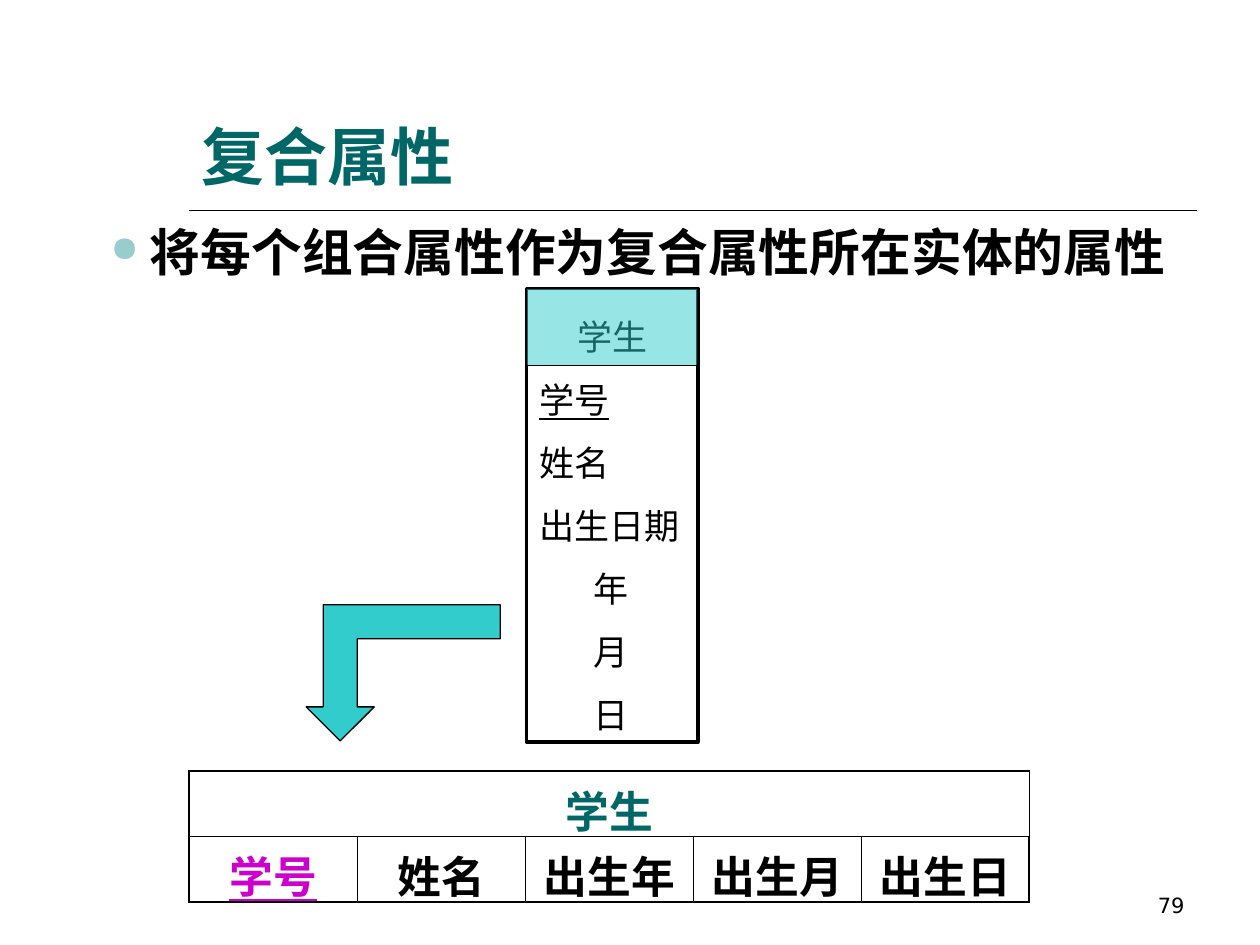
from dataclasses import dataclass
from typing import Optional

from lxml import etree
from pptx import Presentation
from pptx import util as u
from pptx.dml.color import RGBColor
from pptx.enum import shapes, text
from pptx.oxml.ns import qn

BLACK = RGBColor(0x00, 0x00, 0x00)
TEAL = RGBColor(0x00, 0x66, 0x66)
AQUA = RGBColor(0x33, 0xCC, 0xCC)
PALE = RGBColor(0x99, 0xCC, 0xCC)
MAGENTA = RGBColor(0xCC, 0x00, 0xCC)

SANS = "DejaVu Sans"
LEFT, CENTER, RIGHT = text.PP_ALIGN.LEFT, text.PP_ALIGN.CENTER, text.PP_ALIGN.RIGHT
TOP, BOTTOM = text.MSO_ANCHOR.TOP, text.MSO_ANCHOR.BOTTOM
RECT = shapes.MSO_SHAPE.RECTANGLE
OUTER_BORDER, INNER_BORDER = 1.08, 0.45


@dataclass
class Style:
    size: float
    font: str = SANS
    color: RGBColor = BLACK
    bold: bool = False
    underline: bool = False
    align: text.PP_ALIGN = LEFT
    spacing: Optional[float] = None


@dataclass
class Attribute:
    name: str
    align: text.PP_ALIGN = LEFT
    underline: bool = False
    indent: float = 0


ENTITY = [
    Attribute("学生", align=CENTER),
    Attribute("学号", underline=True),
    Attribute("姓名"),
    Attribute("出生日期"),
    *(Attribute(part, indent=0.43) for part in "年月日"),
]
COLUMNS = ["学号", "姓名", "出生年", "出生月", "出生日"]


def inches(*values: float) -> list:
    return [u.Inches(v) for v in values]


def write(p, words: str, style: Style) -> None:
    p.alignment = style.align
    if style.spacing:
        p.line_spacing = style.spacing
    r = p.add_run()
    r.text = words
    values = {"size": u.Pt(style.size), "name": style.font,
              "bold": style.bold, "underline": style.underline}
    for name, value in values.items():
        setattr(r.font, name, value)
    r.font.color.rgb = style.color


def add_text(s, box: tuple, words: str, style: Style, anchor=TOP):
    tf = s.shapes.add_textbox(*inches(*box)).text_frame
    tf.word_wrap = True
    tf.vertical_anchor = anchor
    write(tf.paragraphs[0], words, style)
    return tf.paragraphs[0]


def set_indent(p, left: float, first: float = 0) -> None:
    pPr = p._p.get_or_add_pPr()
    pPr.set("marL", str(u.Inches(left)))
    pPr.set("indent", str(u.Inches(first)))


def add_bullet(p, char: str, color: RGBColor, percent: int) -> None:
    pPr = p._p.get_or_add_pPr()
    clr = etree.SubElement(pPr, qn("a:buClr"))
    etree.SubElement(clr, qn("a:srgbClr"), val=str(color))
    etree.SubElement(pPr, qn("a:buSzPct"), val=str(percent * 1000))
    etree.SubElement(pPr, qn("a:buChar"), char=char)


def add_outlined(s, kind, box: tuple, width: float, fill: Optional[RGBColor] = None):
    sp = s.shapes.add_shape(kind, *inches(*box))
    sp.shadow.inherit = False
    sp.line.color.rgb = BLACK
    sp.line.width = u.Pt(width)
    if fill is None:
        sp.fill.background()
    else:
        sp.fill.solid()
        sp.fill.fore_color.rgb = fill
    return sp


def add_rule(s, x1: float, y: float, x2: float) -> None:
    line = s.shapes.add_connector(shapes.MSO_CONNECTOR.STRAIGHT, *inches(x1, y, x2, y))
    line.line.color.rgb = BLACK
    line.line.width = u.Pt(1)
    etree.SubElement(line._element.spPr, qn("a:effectLst"))


def set_borders(cell, outer: dict) -> None:
    """Draw each side of the cell, thicker where it is on the table's edge."""
    tcPr = cell._tc.get_or_add_tcPr()
    for i, (side, is_outer) in enumerate(outer.items()):
        width = u.Pt(OUTER_BORDER if is_outer else INNER_BORDER)
        ln = etree.Element(qn(f"a:ln{side}"), w=str(width))
        fill = etree.SubElement(ln, qn("a:solidFill"))
        etree.SubElement(fill, qn("a:srgbClr"), val=str(BLACK))
        tcPr.insert(i, ln)


def add_relation_table(s) -> None:
    last = len(COLUMNS) - 1
    frame = s.shapes.add_table(2, len(COLUMNS), *inches(1.5, 6.12, 6.67, 1.04))
    table = frame.table
    table.first_row = table.horz_banding = False
    for row in range(2):
        for col in range(len(COLUMNS)):
            cell = table.cell(row, col)
            cell.fill.background()
            set_borders(cell, {"L": col == 0, "R": col == last,
                               "T": row == 0, "B": row == 1})
    table.cell(0, 0).merge(table.cell(0, last))
    write(table.cell(0, 0).text_frame.paragraphs[0], "学生",
          Style(25, color=TEAL, bold=True, align=CENTER))
    for col, name in enumerate(COLUMNS):
        is_key = col == 0
        write(table.cell(1, col).text_frame.paragraphs[0], name,
              Style(25, color=MAGENTA if is_key else BLACK, bold=True,
                    underline=is_key, align=CENTER))


def add_entity(s) -> None:
    left, top, width = 4.18, 2.29, 1.36
    tf = add_outlined(s, RECT, (left, top, width, 3.6), 2).text_frame
    tf.word_wrap = True
    tf.vertical_anchor = TOP
    for i, attr in enumerate(ENTITY):
        p = tf.add_paragraph() if i else tf.paragraphs[0]
        if attr.indent:
            set_indent(p, attr.indent)
        write(p, attr.name, Style(20, "Times New Roman", underline=attr.underline,
                                  align=attr.align, spacing=1.5))
    header = add_outlined(s, RECT, (left, top, width, 0.61), 0.75, AQUA)
    color = header._element.spPr.find(qn("a:solidFill"))[0]
    etree.SubElement(color, qn("a:alpha"), val="50000")


def main() -> None:
    prs = Presentation()
    prs.slide_width, prs.slide_height = inches(10, 7.5)
    s = prs.slides.add_slide(prs.slide_layouts[6])

    add_rule(s, 1.5, 1.67, 9.5)
    add_text(s, (7.17, 6.83, 2.33, 0.5), "79", Style(12, align=RIGHT), BOTTOM)
    add_text(s, (1.5, 0.33, 8, 1.25), "复合属性",
             Style(36, "Arial", TEAL, bold=True), BOTTOM)
    p = add_text(s, (0.28, 1.7, 9.42, 1), "将每个组合属性作为复合属性所在实体的属性",
                 Style(29, bold=True))
    set_indent(p, 0.81, -0.31)
    add_bullet(p, "●", PALE, 70)

    add_relation_table(s)
    add_entity(s)
    arrow = add_outlined(s, shapes.MSO_SHAPE.BENT_UP_ARROW,
                         (2.43, 4.8, 1.54, 1.08), 0.75, AQUA)
    arrow.rotation = 180
    prs.save("out.pptx")


if __name__ == "__main__":
    main()
